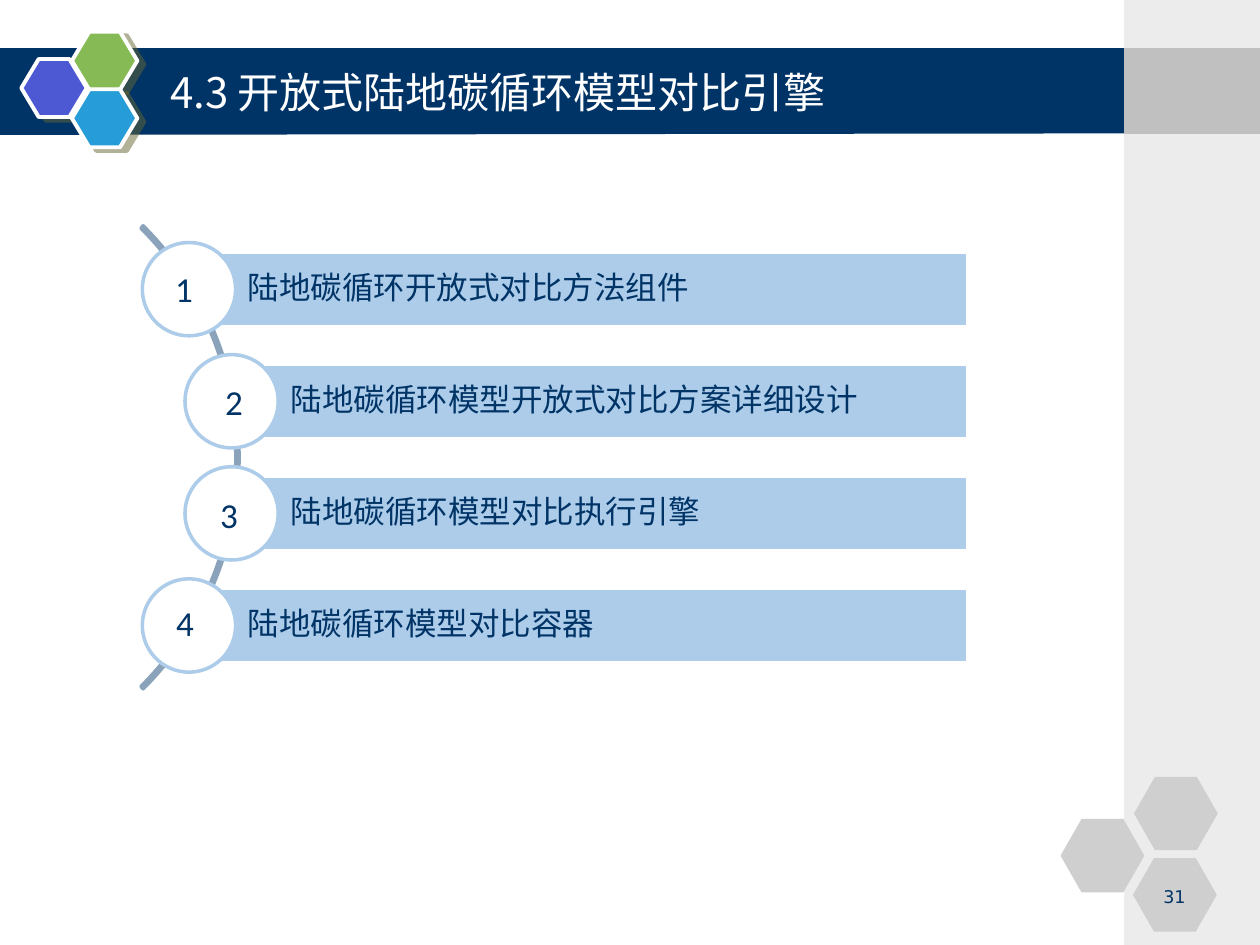
from pptx import Presentation, util as u
from pptx.dml.color import RGBColor
from pptx.enum import shapes, text
from pptx.oxml import parse_xml
from pptx.oxml.ns import nsdecls, qn

NAVY = RGBColor(0x00, 0x33, 0x66)
WHITE = RGBColor(0xFF, 0xFF, 0xFF)
SKY = RGBColor(0xAC, 0xCC, 0xE9)
STEEL = RGBColor(0x8A, 0xA3, 0xBB)
VIOLET = RGBColor(0x4C, 0x59, 0xD2)
GREEN = RGBColor(0x85, 0xBA, 0x54)
BLUE = RGBColor(0x26, 0x9D, 0xD8)
PALE = RGBColor(0xEC, 0xEC, 0xEC)
GREY = RGBColor(0xC0, 0xC0, 0xC0)
STONE = RGBColor(0xCF, 0xCF, 0xCF)
KIND = shapes.MSO_SHAPE
HAN = "Noto Sans CJK SC"
SANS = "DejaVu Sans"


class Deck:
    """Hold the style and the current slide, and draw each kind of element."""

    def __init__(self, wide, high):
        self.show = Presentation()
        self.show.slide_width, self.show.slide_height = u.Cm(wide), u.Cm(high)
        self.page = self.show.slides.add_slide(self.show.slide_layouts[6])

    def paint(self, shape, fill=None, line=None, width=2):
        shape.shadow.inherit = False
        if fill is None:
            shape.fill.background()
        else:
            shape.fill.solid()
            shape.fill.fore_color.rgb = fill
        if line is None:
            shape.line.fill.background()
        else:
            shape.line.color.rgb = line
            shape.line.width = u.Pt(width)
        return shape

    def shape(self, kind, box, fill=None, line=None, width=2, turns=()):
        item = self.page.shapes.add_shape(kind, *map(u.Cm, box))
        for spot, turn in enumerate(turns):
            item.adjustments[spot] = turn
        return self.paint(item, fill, line, width)

    def band(self, points, fill):
        start, *rest = [(u.Cm(x), u.Cm(y)) for x, y in points]
        pen = self.page.shapes.build_freeform(*start)
        pen.add_line_segments(rest, close=True)
        return self.paint(pen.convert_to_shape(), fill)

    def shade(self, item):
        glow = item._element.spPr.find(qn("a:effectLst"))
        glow.append(parse_xml(
            f'<a:outerShdw {nsdecls("a")} blurRad="0" dist="{u.Pt(4.5)}" '
            'dir="1620000" algn="ctr" rotWithShape="0"><a:srgbClr val="666633">'
            '<a:alpha val="50000"/></a:srgbClr></a:outerShdw>'))

    def words(self, frame, line, size, font, color, align=None, space=None):
        frame.word_wrap = True
        para = frame.paragraphs[0]
        para.alignment, para.line_spacing = align, space
        run = para.add_run()
        run.text = line
        run.font.size, run.font.name = u.Pt(size), font
        run.font.color.rgb = color
        run.font._element.find(qn("a:latin")).addnext(
            parse_xml(f'<a:ea {nsdecls("a")} typeface="{HAN}"/>'))

    def label(self, box, line, size, font, color, align=None, middle=False):
        frame = self.page.shapes.add_textbox(*map(u.Cm, box)).text_frame
        if middle:
            frame.vertical_anchor = text.MSO_ANCHOR.MIDDLE
        self.words(frame, line, size, font, color, align)

    def bar(self, box, line):
        frame = self.shape(KIND.RECTANGLE, box, SKY, WHITE).text_frame
        frame.margin_left = u.Cm(1.19)
        frame.margin_right = frame.margin_top = frame.margin_bottom = u.Cm(0.13)
        frame.vertical_anchor = text.MSO_ANCHOR.MIDDLE
        self.words(frame, line, 18, SANS, NAVY, text.PP_ALIGN.LEFT, 0.9)


def main():
    deck = Deck(25.4, 19.05)
    deck.band([(0, 0.97), (22.71, 0.97), (22.68, 2.69), (0, 2.72)], NAVY)
    for left, top, fill in [(0.43, 1.19, VIOLET), (1.45, 0.64, GREEN), (1.45, 1.8, BLUE)]:
        deck.shade(deck.shape(KIND.HEXAGON, (left, top, 1.32, 1.17), fill, WHITE, 2.25, (0.3, 1.155)))
    deck.shape(KIND.RECTANGLE, (22.66, 0, 2.74, 19.05), PALE)
    deck.shape(KIND.RECTANGLE, (22.66, 0.97, 2.74, 1.73), GREY)
    for left, top in [(21.38, 16.51), (22.86, 15.66), (22.84, 17.3)]:
        deck.shape(KIND.HEXAGON, (left, top, 1.69, 1.48), STONE, turns=(0.286, 1.155))
    deck.label((3.18, 1.07, 18.85, 1.57), "4.3 开放式陆地碳循环模型对比引擎", 24, HAN, WHITE, middle=True)
    deck.label((23.04, 17.73, 1.27, 0.64), "31", 10, SANS, NAVY, text.PP_ALIGN.CENTER)

    deck.shape(KIND.BLOCK_ARC, (-8.38, 2.62, 13.2, 13.2), line=STEEL, turns=(189, 27, 0.005))
    right, top, step, high, disc = 19.51, 5.08, 2.26, 1.5, 1.88
    rows = [
        (3.81, "陆地碳循环开放式对比方法组件", 3.28, 5.26),
        (4.67, "陆地碳循环模型开放式对比方案详细设计", 4.29, 7.54),
        (4.67, "陆地碳循环模型对比执行引擎", 4.19, 9.83),
        (3.81, "陆地碳循环模型对比容器", 3.3, 12.01),
    ]
    for spot, (left, line, _, _) in enumerate(rows):
        edge = top + spot * step
        deck.bar((left, edge, right - left, high), line)
        deck.shape(KIND.OVAL, (left - disc / 2, edge + (high - disc) / 2, disc, disc), WHITE, SKY)
    for count, (_, _, left, edge) in enumerate(rows, 1):
        deck.label((left, edge, 1.2, 1.12), str(count), 20, "Calibri", NAVY)
    deck.show.save("out.pptx")


if __name__ == "__main__":
    main()
